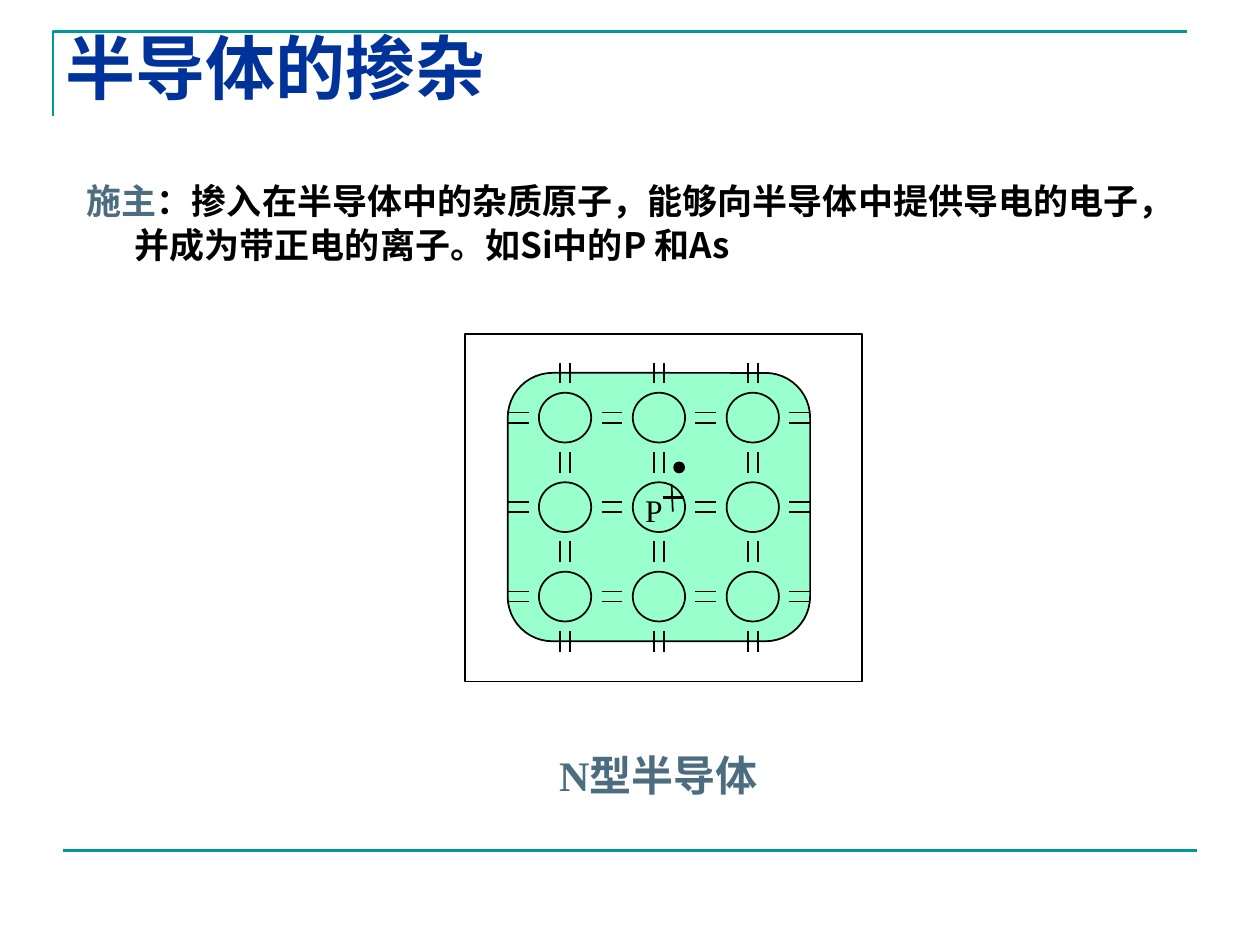
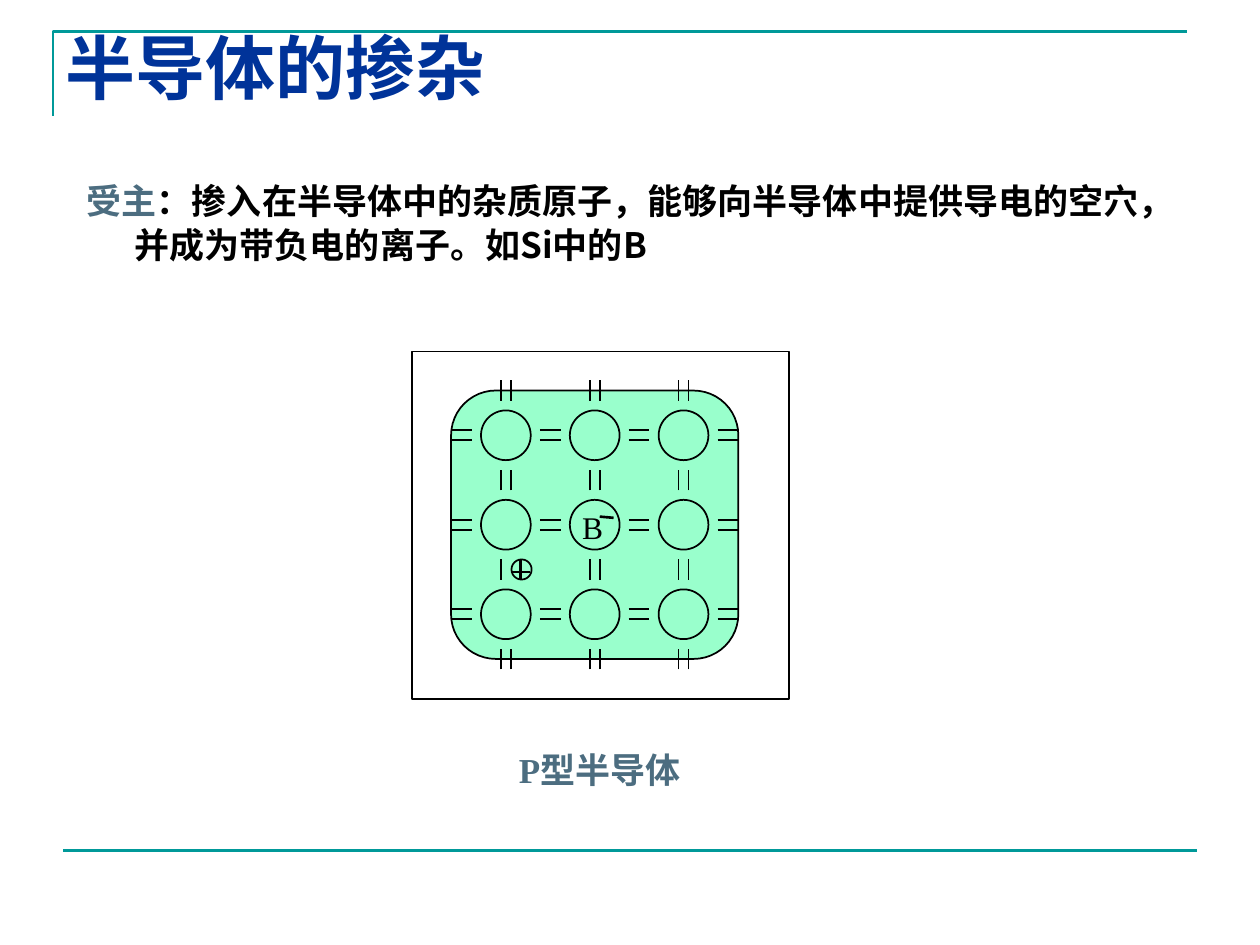
from lxml import etree
from pptx import Presentation
from pptx import util as u
from pptx.dml.color import RGBColor
from pptx.enum import shapes, text
from pptx.oxml import ns

COLORS = {"rule": "009999", "title": "003399", "accent": "4C6D80",
          "ink": "000000", "paper": "FFFFFF", "crystal": "99FFCC"}
SANS, SERIF = "Noto Sans CJK SC", "Times New Roman"
WIDTH, HEIGHT = u.Inches(10), u.Inches(7.5)
COLUMNS, ROWS = 100, 75
ATOMS = 3
BOND, BOND_GAP = 1.65, 0.8

SLIDES = [
    {"term": "施主",
     "lines": ["：掺入在半导体中的杂质原子，能够向半导体中提供导电的电子，",
               "并成为带正电的离子。如Si中的P 和As"],
     "caption": ("N型半导体", (36.9, 59.5, 30.7, 5), 24),
     "frame": (36.9, 26.5, 31.5, 27.6), "crystal": (40.3, 29.6, 24, 21.3),
     "atom": (4.15, 3.95), "dopant": "P", "replaced": None,
     "carrier": (53.5, 36.7, 0.8, 0.8, "ink"),
     "signs": [(52.6, 39.5, 54.3, 39.5, 1.5), (53.3, 38.4, 53.4, 40.6, 1)]},
    {"term": "受主",
     "lines": ["：掺入在半导体中的杂质原子，能够向半导体中提供导电的空穴，",
               "并成为带负电的离子。如Si中的B"],
     "caption": ("P型半导体", (35, 59.4, 25.2, 4.3), 20),
     "frame": (32.7, 27.9, 29.9, 27.6), "crystal": (35.8, 31, 22.8, 21.3),
     "atom": (3.95, 3.95), "dopant": "B", "replaced": (0, 2),
     "carrier": (40.6, 44.4, 1.6, 1.6, None),
     "signs": [(40.6, 45.4, 42.1, 45.4, 1.5), (41.3, 44.4, 41.3, 46, 1.5),
               (47.6, 41, 48.7, 41.1, 1.5)]},
]


def col(n):
    return round(WIDTH * n / COLUMNS)


def row(n):
    return round(HEIGHT * n / ROWS)


def box(x, y, w, h):
    return col(x), row(y), col(w), row(h)


def rgb(name):
    return RGBColor.from_string(COLORS[name])


def style_line(sp, color, width):
    sp.line.color.rgb = rgb(color)
    sp.line.width = u.Pt(width)


def add_line(parent, x1, y1, x2, y2, width=1, color="ink"):
    sp = parent.shapes.add_connector(shapes.MSO_CONNECTOR.STRAIGHT,
                                     col(x1), row(y1), col(x2), row(y2))
    style_line(sp, color, width)
    etree.SubElement(sp._element.spPr, ns.qn("a:effectLst"))


def add_outline(parent, kind, bounds, fill=None):
    sp = parent.shapes.add_shape(kind, *box(*bounds))
    sp.shadow.inherit = False
    if fill:
        sp.fill.solid()
        sp.fill.fore_color.rgb = rgb(fill)
    else:
        sp.fill.background()
    style_line(sp, "ink", 1)


def style_run(r, size, font, color, bold=True):
    r.font.size, r.font.bold, r.font.name = u.Pt(size), bold, font
    r.font.color.rgb = rgb(color)
    ea = etree.SubElement(r._r.get_or_add_rPr(), ns.qn("a:ea"))
    ea.set("typeface", SANS)


def add_text(parent, bounds, wrap=True):
    sp = parent.shapes.add_textbox(*box(*bounds))
    sp.text_frame.word_wrap = wrap
    return sp.text_frame


def add_title(s):
    title = s.shapes.title
    title.left, title.top, title.width, title.height = box(4.2, 2.5, 93.4, 12.5)
    tf = title.text_frame
    tf.text = "半导体的掺杂"
    tf.vertical_anchor = text.MSO_ANCHOR.TOP
    tf.margin_top = 0
    p = tf.paragraphs[0]
    p.alignment = text.PP_ALIGN.LEFT
    p.line_spacing = 0.94
    style_run(p.runs[0], 40, SERIF, "title")


def add_rules(s):
    corner = s.shapes.build_freeform(col(4.2), row(9.2))
    corner.add_line_segments([(col(4.2), row(2.5)), (col(94.2), row(2.5))],
                             close=False)
    sp = corner.convert_to_shape()
    sp.shadow.inherit = False
    sp.fill.background()
    style_line(sp, "rule", 1.5)
    add_line(s, 5, 67.5, 95, 67.5, 1.5, "rule")


def add_definition(s, term, lines):
    tf = add_text(s, (5.9, 14.7, 92.5, 8))
    tf.margin_top = row(0.2)
    first, second = tf.paragraphs[0], tf.add_paragraph()
    for p, parts in ((first, [(term, "accent"), (lines[0], "ink")]),
                     (second, [(lines[1], "ink")])):
        p.line_spacing = 0.8
        for words, color in parts:
            r = p.add_run()
            r.text = words
            style_run(r, 20, SANS, color)
    second.space_before = u.Pt(6)
    second._p.get_or_add_pPr().set("marL", str(col(3.8)))


def add_caption(s, words, bounds, size):
    tf = add_text(s, bounds)
    tf.margin_top = 0
    p = tf.paragraphs[0]
    p.text = words
    p.alignment = text.PP_ALIGN.CENTER
    style_run(p.runs[0], size, SERIF, "accent")


def add_bond(parent, x, y, vertical, sides=(-1, 1)):
    half = BOND / 2
    for side in sides:
        shift = side * BOND_GAP / 2
        if vertical:
            add_line(parent, x + shift, y + half, x + shift, y - half)
        else:
            add_line(parent, x - half, y + shift, x + half, y + shift)


def add_lattice(s, frame, crystal, atom, dopant, replaced, carrier, signs):
    group = s.shapes.add_group_shape()
    kinds = shapes.MSO_SHAPE
    add_outline(group, kinds.RECTANGLE, frame, "paper")
    add_outline(group, kinds.FLOWCHART_ALTERNATE_PROCESS, crystal, "crystal")
    left, top, width, height = crystal
    pitch_x, pitch_y = (width - BOND) / ATOMS, height / ATOMS
    xs = [left + BOND / 2 + pitch_x * (i + 0.5) for i in range(ATOMS)]
    ys = [top + pitch_y * (i + 0.5) for i in range(ATOMS)]
    w, h = atom
    for x in xs:
        for y in ys:
            add_outline(group, kinds.OVAL, (x - w / 2, y - h / 2, w, h))
    for i in range(ATOMS):
        for gap in range(ATOMS + 1):
            sides = (-1,) if (i, gap) == replaced else (-1, 1)
            add_bond(group, xs[i], top + pitch_y * gap, True, sides)
            add_bond(group, left + BOND / 2 + pitch_x * gap, ys[i], False)
    tf = add_text(group, (xs[1] - w / 2, ys[1] - 1.8, 5, 4), wrap=False)
    tf.text = dopant
    style_run(tf.paragraphs[0].runs[0], 18, SERIF, "ink", bold=False)
    add_outline(group, kinds.OVAL, carrier[:4], carrier[4])
    for sign in signs:
        add_line(group, *sign)


def main():
    prs = Presentation()
    prs.slide_width, prs.slide_height = WIDTH, HEIGHT
    for content in SLIDES:
        s = prs.slides.add_slide(prs.slide_layouts[5])
        add_rules(s)
        add_title(s)
        add_definition(s, content["term"], content["lines"])
        add_caption(s, *content["caption"])
        add_lattice(s, *(content[key] for key in (
            "frame", "crystal", "atom", "dopant", "replaced", "carrier", "signs")))
    prs.save("out.pptx")


if __name__ == "__main__":
    main()
